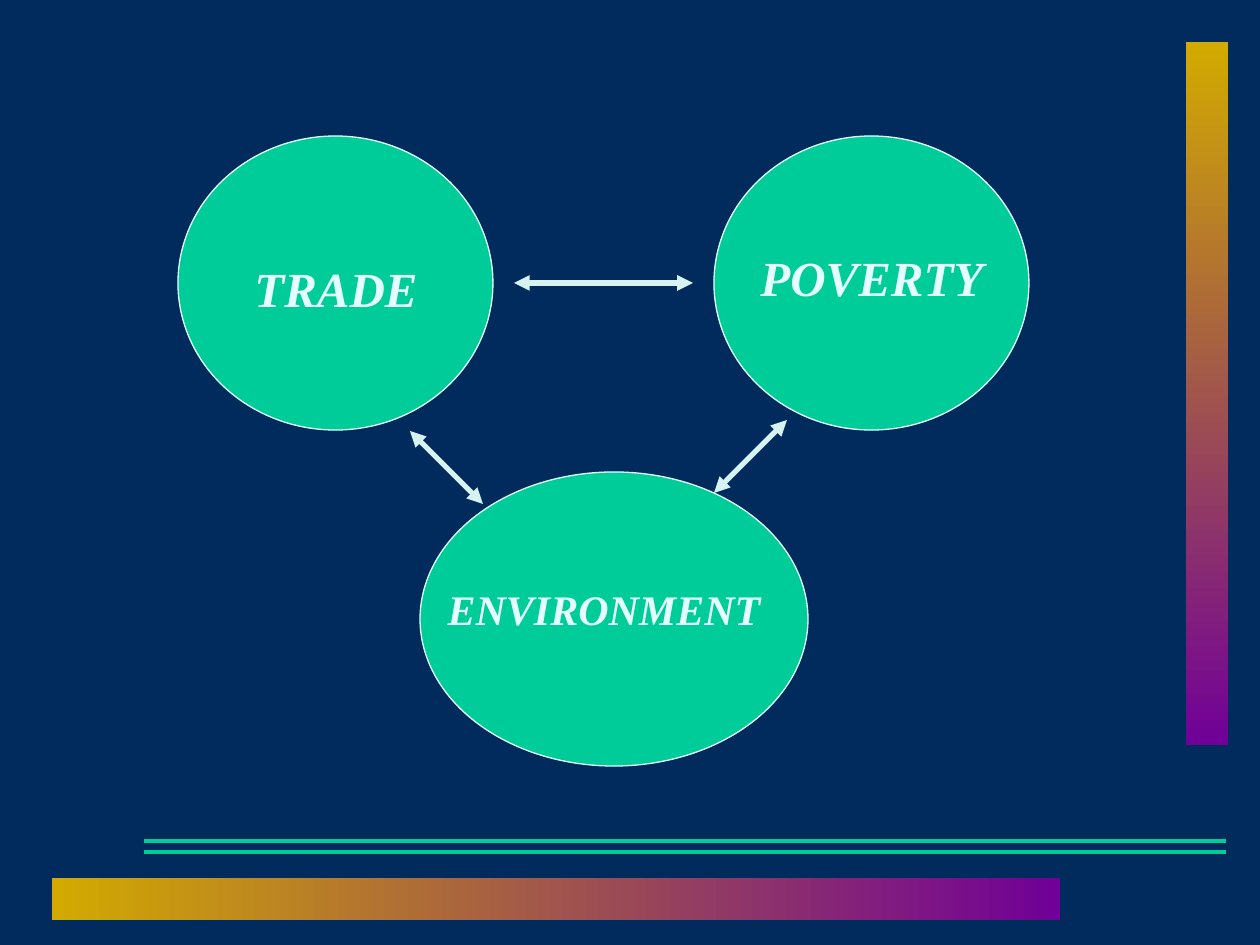
from lxml import etree
from pptx import Presentation
from pptx.dml.color import RGBColor
from pptx.enum.shapes import MSO_CONNECTOR as CONNECTOR, MSO_SHAPE as SHAPE
from pptx.enum.text import PP_ALIGN as ALIGN
from pptx.oxml.ns import qn
from pptx.util import Emu, Pt

SCALE = 914400 // 126
COLORS = {
    "background": "002B5C",
    "gold": "D2AA00",
    "purple": "700098",
    "green": "00CC99",
    "pale": "E5FFFF",
    "arrow": "D6F2F1",
}


def px(*lengths):
    """Turn pixel lengths into EMU."""
    return [Emu(length * SCALE) for length in lengths]


def color(name):
    """Look up a named colour."""
    return RGBColor.from_string(COLORS[name])


def add_gradient_bar(slide, box, angle):
    """Add a bar that fades from gold to purple."""
    shape = slide.shapes.add_shape(SHAPE.RECTANGLE, *px(*box))
    shape.shadow.inherit = False
    shape.line.fill.background()
    shape.fill.gradient()
    shape.fill.gradient_angle = angle
    for stop, name, position in zip(shape.fill.gradient_stops, ("gold", "purple"), (0, 1)):
        stop.color.rgb = color(name)
        stop.position = position


def add_line(slide, ends, name, width, arrows=False):
    """Add a straight line, with arrowheads at both ends if asked."""
    connector = slide.shapes.add_connector(CONNECTOR.STRAIGHT, *px(*ends))
    connector.line.color.rgb = color(name)
    connector.line.width = Pt(width)
    if arrows:
        outline = connector.line._get_or_add_ln()
        for tag in ("a:headEnd", "a:tailEnd"):
            etree.SubElement(outline, qn(tag), type="triangle")
    etree.SubElement(connector._element.spPr, qn("a:effectLst"))


def add_ellipse(slide, box):
    """Add a green ellipse with a thin pale outline."""
    shape = slide.shapes.add_shape(SHAPE.OVAL, *px(*box))
    shape.shadow.inherit = False
    shape.fill.solid()
    shape.fill.fore_color.rgb = color("green")
    shape.line.color.rgb = color("pale")
    shape.line.width = Pt(0.75)


def add_label(slide, text, box, size):
    """Add a centred bold italic label."""
    frame = slide.shapes.add_textbox(*px(*box)).text_frame
    frame.word_wrap = True
    paragraph = frame.paragraphs[0]
    paragraph.text = text
    paragraph.alignment = ALIGN.CENTER
    font = paragraph.font
    font.name = "Times New Roman"
    font.size = Pt(size)
    font.bold = font.italic = True
    font.color.rgb = color("pale")


def main():
    """Build the slide and save it."""
    presentation = Presentation()
    presentation.slide_width, presentation.slide_height = px(1260, 945)
    slide = presentation.slides.add_slide(presentation.slide_layouts[6])
    slide.background.fill.solid()
    slide.background.fill.fore_color.rgb = color("background")

    add_gradient_bar(slide, (52, 878, 1008, 42), 0)
    add_gradient_bar(slide, (1186, 42, 42, 703), 270)
    for y in (841, 852):
        add_line(slide, (144, y, 1226, y), "green", 2.25)

    for box in ((178, 136, 315, 294), (714, 136, 315, 294), (420, 472, 388, 294)):
        add_ellipse(slide, box)
    for text, box, size in (
        ("TRADE", (231, 252, 210, 72), 28),
        ("POVERTY", (746, 241, 252, 72), 28),
        ("ENVIRONMENT", (431, 577, 346, 63), 24),
    ):
        add_label(slide, text, box, size)
    for ends in ((410, 431, 483, 504), (714, 493, 787, 420), (514, 283, 693, 283)):
        add_line(slide, ends, "arrow", 3, arrows=True)

    presentation.save("out.pptx")


main()
